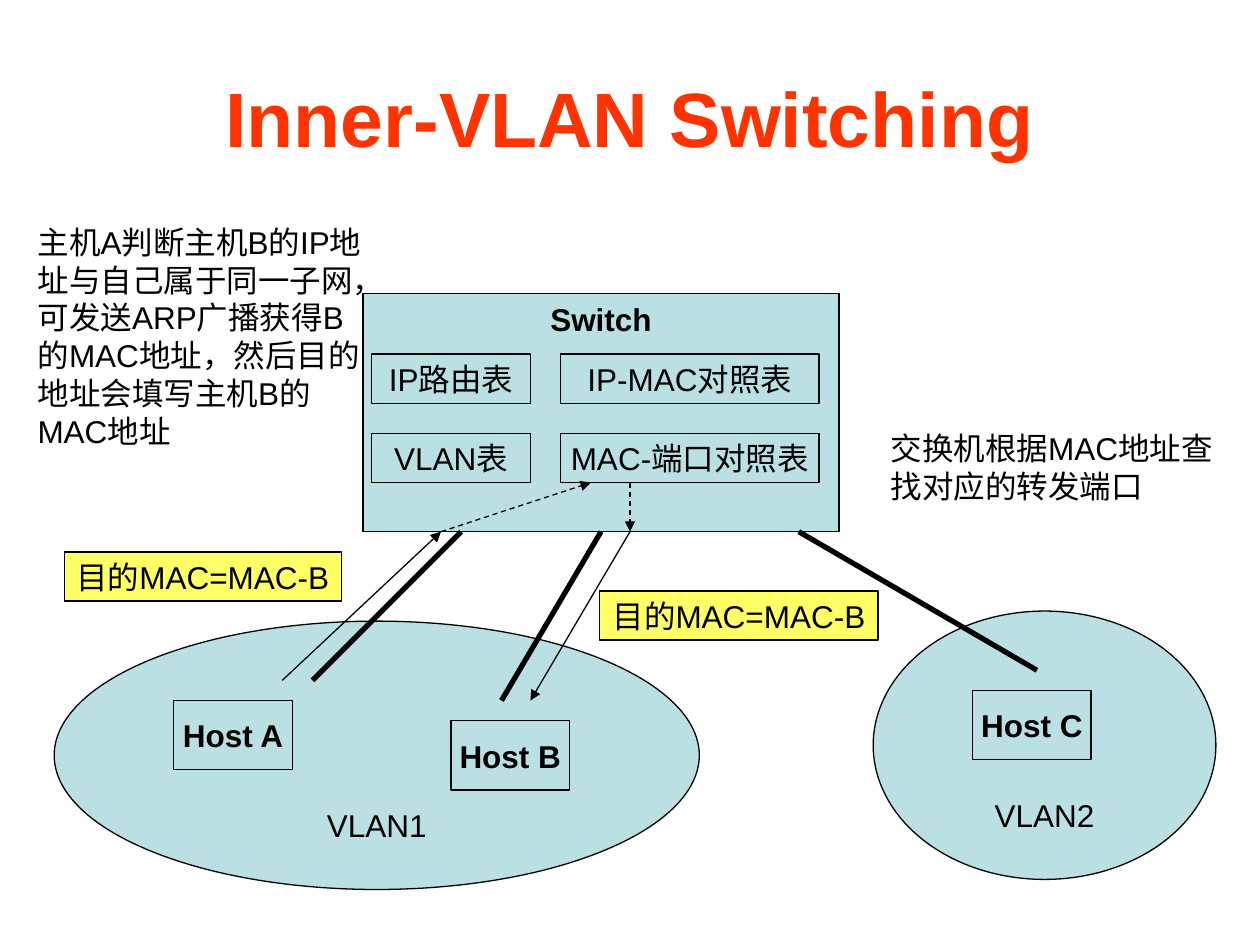
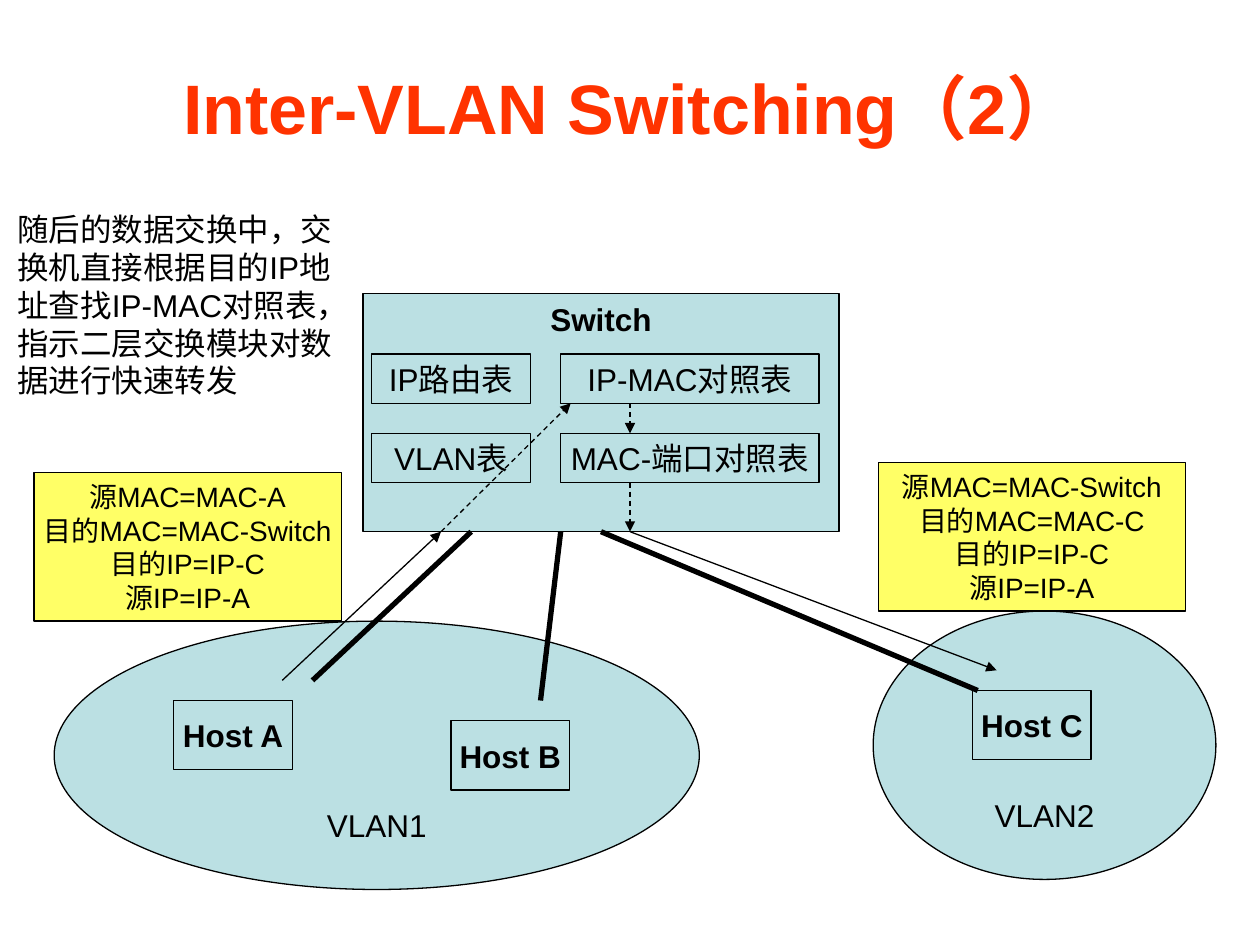
"""Build two slides on switching inside one VLAN and between two VLANs."""
from dataclasses import dataclass

from lxml import etree
from pptx import Presentation
from pptx.dml.color import RGBColor
from pptx.enum.dml import MSO_LINE
from pptx.enum.shapes import MSO_CONNECTOR, MSO_SHAPE
from pptx.enum.text import MSO_ANCHOR, PP_ALIGN
from pptx.oxml.ns import qn
from pptx.util import Inches, Pt

RECT, OVAL = MSO_SHAPE.RECTANGLE, MSO_SHAPE.OVAL
TOP, MIDDLE, BOTTOM = MSO_ANCHOR.TOP, MSO_ANCHOR.MIDDLE, MSO_ANCHOR.BOTTOM
LEFT, CENTER = PP_ALIGN.LEFT, PP_ALIGN.CENTER
STRAIGHT, DASH = MSO_CONNECTOR.STRAIGHT, MSO_LINE.DASH
COLUMNS = 100
BOTTOM_SITE = 2


@dataclass(frozen=True)
class Theme:
    font: str = "Arial"
    ink: RGBColor = RGBColor(0x00, 0x00, 0x00)
    title: RGBColor = RGBColor(0xFF, 0x33, 0x00)
    device: RGBColor = RGBColor(0xBB, 0xE0, 0xE3)
    packet: RGBColor = RGBColor(0xFF, 0xFF, 0x66)
    body: int = 18
    small: int = 16
    thin: float = 0.75
    thick: float = 3


T = Theme()
prs = Presentation()
prs.slide_width, prs.slide_height = Inches(10), Inches(7.5)
CELL = prs.slide_width / COLUMNS


def add_box(s, at, text, kind=None, fill=None, size=T.body, bold=False,
            color=T.ink, anchor=MIDDLE, align=CENTER):
    """Place text at grid cells, in a shape if a kind is given."""
    place = [round(v * CELL) for v in at]
    if kind is None:
        sp = s.shapes.add_textbox(*place)
    else:
        sp = s.shapes.add_shape(kind, *place)
        sp.shadow.inherit = False
        sp.fill.solid()
        sp.fill.fore_color.rgb = fill
        sp.line.color.rgb = T.ink
        sp.line.width = Pt(T.thin)
    tf = sp.text_frame
    tf.word_wrap = kind is None
    tf.vertical_anchor = anchor
    tf.text = text
    for p in tf.paragraphs:
        p.alignment = align
        p.font.name, p.font.size, p.font.bold = T.font, Pt(size), bold
        p.font.color.rgb = color
    return sp


def add_line(s, points, width=T.thin, dash=None, arrow=True):
    """Draw a straight line between two grid points."""
    cx = s.shapes.add_connector(STRAIGHT, *[round(v * CELL) for v in points])
    cx.line.color.rgb = T.ink
    cx.line.width = Pt(width)
    if dash:
        cx.line.dash_style = dash
    if arrow:
        etree.SubElement(cx.line._get_or_add_ln(), qn("a:tailEnd"), type="triangle")
    etree.SubElement(cx._element.spPr, qn("a:effectLst"))
    return cx


SWITCH = (28.8, 23.3, 37.8, 18.9)
EDGE = SWITCH[1] + SWITCH[3]
TABLE_COLUMNS = [(29.5, 12.6), (44.5, 20.5)]
TABLE_ROWS = [28.1, 34.4]
TABLE_H = 3.9
TABLES = [["IP路由表", "IP-MAC对照表"], ["VLAN表", "MAC-端口对照表"]]
TABLE_ENDS = [y + TABLE_H for y in TABLE_ROWS]
VLANS = [("VLAN2", (69.3, 48.5, 27.2, 21.3)), ("VLAN1", (4.3, 49.3, 51.2, 21.3))]
HOSTS = [("Host A", 13.8, 55.6), ("Host B", 35.8, 57.2), ("Host C", 77.2, 54.8)]
HOST_W, HOST_H = 9.4, 5.5
IN_X, OUT_X, MID_X = 35, 50, SWITCH[0] + SWITCH[2] / 2
NOTE_W = 28.4

SLIDES = [
    dict(
        title=("Inner-VLAN Switching", 44, 12.5),
        notes=[
            ((2, 17.2, NOTE_W, 19), "主机A判断主机B的IP地址与自己属于同一子网，可发送ARP广播获得B的MAC地址，然后目的地址会填写主机B的MAC地址"),
            ((69.7, 33.6, NOTE_W, 7), "交换机根据MAC地址查找对应的转发端口"),
        ],
        packets=[
            ((5.1, 43.8, 22, 3.9), "目的MAC=MAC-B", T.body),
            ((47.6, 46.9, 22.1, 3.9), "目的MAC=MAC-B", T.body),
        ],
        lookups=[(IN_X, EDGE, 46.9, TABLE_ENDS[1])],
        forward=(OUT_X, EDGE, 42.1, 55.6),
        uplinks=[(24.8, 54, 36.6, EDGE), (39.8, 55.6, MID_X, EDGE), (82.3, 53.2, 63.4, EDGE)],
    ),
    dict(
        title=("Inter-VLAN Switching（2）", 40, 10.9),
        notes=[
            ((0.4, 16.2, NOTE_W, 16), "随后的数据交换中，交换机直接根据目的IP地址查找IP-MAC对照表，指示二层交换模块对数据进行快速转发"),
        ],
        packets=[
            ((2.7, 37.5, 24.4, 11.8), "源MAC=MAC-A\n目的MAC=MAC-Switch\n目的IP=IP-C\n源IP=IP-A", T.small),
            ((69.7, 36.7, 24.4, 11.8), "源MAC=MAC-Switch\n目的MAC=MAC-C\n目的IP=IP-C\n源IP=IP-A", T.small),
        ],
        lookups=[(IN_X, EDGE, 45.3, TABLE_ENDS[0]), (OUT_X, TABLE_ENDS[0], OUT_X, TABLE_ROWS[1])],
        forward=(OUT_X, EDGE, 79.1, 53.2),
        uplinks=[(24.8, 54, 37.4, EDGE), (42.9, 55.6, 44.5, EDGE), (77.6, 54.8, MID_X, EDGE)],
    ),
]

for page in SLIDES:
    s = prs.slides.add_slide(prs.slide_layouts[6])

    for name, at in VLANS:
        add_box(s, at, name, OVAL, T.device, anchor=BOTTOM)
    title, size, height = page["title"]
    add_box(s, (5, 3, 90, height), title, size=size, bold=True, color=T.title)

    switch = add_box(s, SWITCH, "Switch", RECT, T.device, bold=True, anchor=TOP)
    for name, x, y in HOSTS:
        add_box(s, (x, y, HOST_W, HOST_H), name, RECT, T.device, bold=True)
    for y, names in zip(TABLE_ROWS, TABLES):
        for (x, w), name in zip(TABLE_COLUMNS, names):
            add_box(s, (x, y, w, TABLE_H), name, RECT, T.device)

    for at, text in page["notes"]:
        add_box(s, at, text, anchor=TOP, align=LEFT)
    for at, text, size in page["packets"]:
        add_box(s, at, text, RECT, T.packet, size)

    add_line(s, (22.4, 54, IN_X, EDGE))
    for points in page["lookups"] + [(OUT_X, TABLE_ENDS[1], OUT_X, EDGE)]:
        add_line(s, points, dash=DASH)
    add_line(s, page["forward"])
    for points in page["uplinks"]:
        cx = add_line(s, points, T.thick, arrow=False)
        if points[2] == MID_X:
            cx.end_connect(switch, BOTTOM_SITE)

prs.save("out.pptx")
